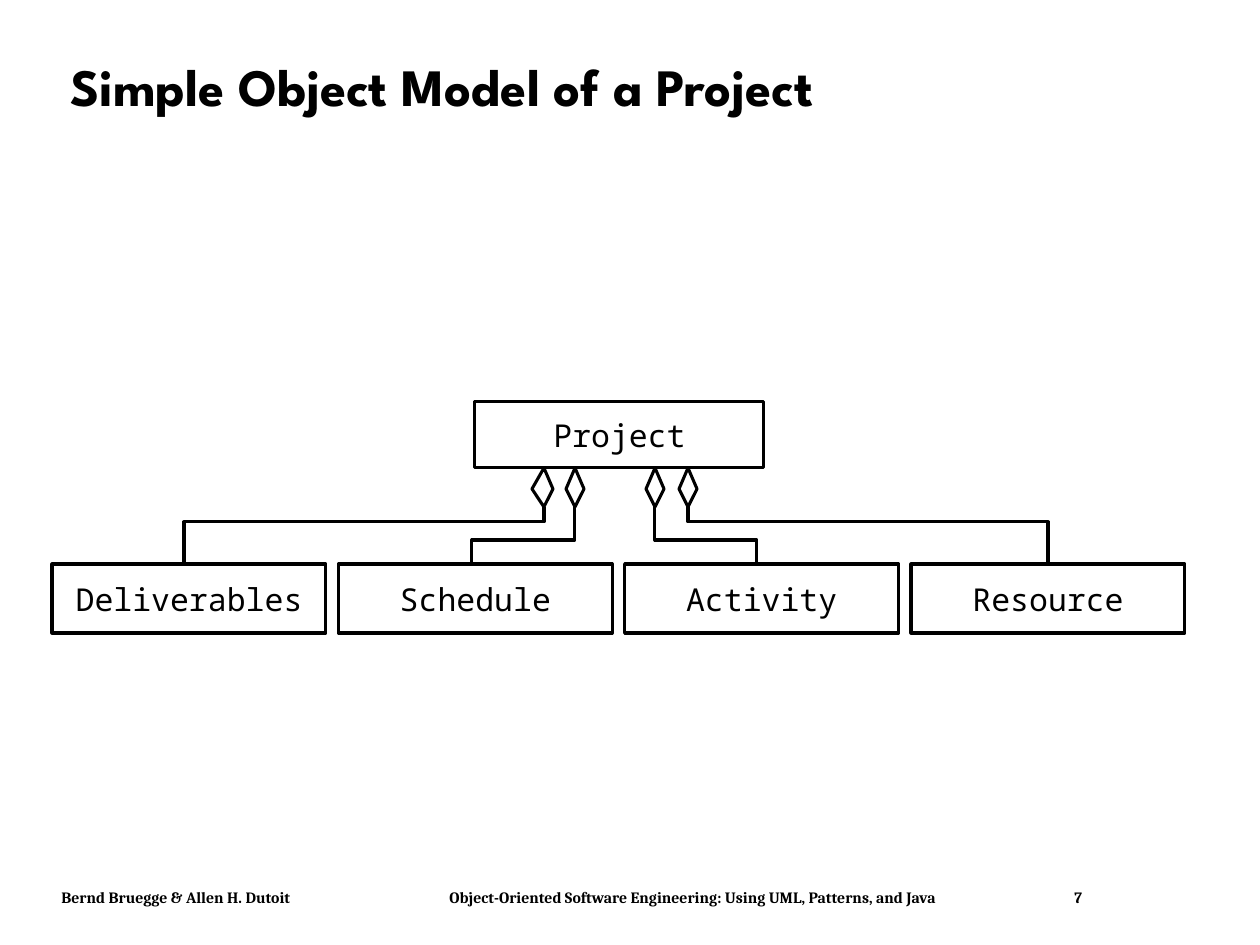
import pptx
import pptx.dml.color
import pptx.enum.shapes
import pptx.enum.text
import pptx.oxml.ns
import pptx.util
from lxml import etree

PX = 914400 / 126
COLORS = {"ink": "000000", "paper": "FFFFFF"}


def px(length):
    """Turn pixels into EMU."""
    return pptx.util.Emu(round(length * PX))


def color(name):
    """Look up a colour by its role."""
    return pptx.dml.color.RGBColor.from_string(COLORS[name])


def set_font(paragraph, family, size, bold=False):
    """Set the font of a paragraph."""
    font = paragraph.font
    font.name, font.size, font.bold = family, pptx.util.Pt(size), bold
    font.color.rgb = color("ink")


def outline(shape, fill=None):
    """Give a shape the diagram's line and an optional fill."""
    shape.shadow.inherit = False
    shape.line.color.rgb = color("ink")
    shape.line.width = pptx.util.Pt(1.75)
    if fill:
        shape.fill.solid()
        shape.fill.fore_color.rgb = color(fill)
    else:
        shape.fill.background()


def add_path(slide, points, closed=False, fill=None):
    """Draw a path through points given in pixels."""
    builder = slide.shapes.build_freeform(*points[0], scale=PX)
    builder.add_line_segments(points[1:], close=closed)
    outline(builder.convert_to_shape(), fill)


def add_class(slide, label, left, top, width, height):
    """Draw a class box with its name."""
    box = slide.shapes.add_shape(
        pptx.enum.shapes.MSO_SHAPE.RECTANGLE, *map(px, (left, top, width, height)))
    outline(box)
    box.text_frame.vertical_anchor = pptx.enum.text.MSO_ANCHOR.MIDDLE
    name = box.text_frame.paragraphs[0]
    name.text = label
    name.alignment = pptx.enum.text.PP_ALIGN.CENTER
    set_font(name, "Noto Sans Mono", 18)


def add_title(slide, left, top, width, height):
    """Place the slide title."""
    frame = slide.shapes.add_textbox(*map(px, (left, top, width, height))).text_frame
    frame.word_wrap = True
    frame.vertical_anchor = pptx.enum.text.MSO_ANCHOR.MIDDLE
    title = frame.paragraphs[0]
    title.text = "Simple Object Model of a Project"
    title.line_spacing = 0.9
    set_font(title, "League Spartan", 30, bold=True)


def add_footer(slide, left, top, width, height):
    """Place authors, book title and page number on tab stops."""
    frame = slide.shapes.add_textbox(*map(px, (left, top, width, height))).text_frame
    frame.word_wrap = True
    footer = frame.paragraphs[0]
    footer.text = "\t".join((
        "Bernd Bruegge & Allen H. Dutoit",
        "Object-Oriented Software Engineering: Using UML, Patterns, and Java",
        "7"))
    qn = pptx.oxml.ns.qn
    tabs = etree.SubElement(footer._p.get_or_add_pPr(), qn("a:tabLst"))
    for stop in (388, 1013):
        etree.SubElement(tabs, qn("a:tab"), pos=str(px(stop)), algn="l")
    set_font(footer, "Cambria", 9, bold=True)


def add_object_model(slide, left, top, width, height):
    """Draw the project class and the four classes it aggregates."""
    part_width, part_height = 274, 69
    pitch = (width - part_width) / 3
    project_width, project_height = 289, 66
    project_bottom = top + project_height
    part_top = top + height - part_height
    parts = (
        ("Deliverables", 492, 120, 132),
        ("Schedule", 523, 138, 420),
        ("Activity", 603, 138, 705),
        ("Resource", 636, 120, 996),
    )
    for _, start, bend, end in parts:
        start, bend, end = left + start, top + bend, left + end
        add_path(slide, [(start, project_bottom + 39), (start, bend),
                         (end, bend), (end, part_top)])
    add_class(slide, "Project", left + 423, top, project_width, project_height)
    for index, (label, start, _, _) in enumerate(parts):
        add_class(slide, label, left + index * pitch, part_top, part_width, part_height)
        center, middle = left + start, project_bottom + 21
        left_reach = 12 if index == 0 else 9
        add_path(slide, [(center - left_reach, middle), (center, project_bottom + 39),
                         (center + 9, middle), (center, project_bottom)],
                 closed=True, fill="paper")


def main():
    """Build and save the slide."""
    presentation = pptx.Presentation()
    presentation.slide_width, presentation.slide_height = px(1260), px(945)
    slide = presentation.slides.add_slide(presentation.slide_layouts[6])
    add_footer(slide, 49, 882, 1155, 32)
    add_title(slide, 58, 30, 1124, 118)
    add_object_model(slide, 52, 402, 1133, 231)
    presentation.save("out.pptx")


if __name__ == "__main__":
    main()
